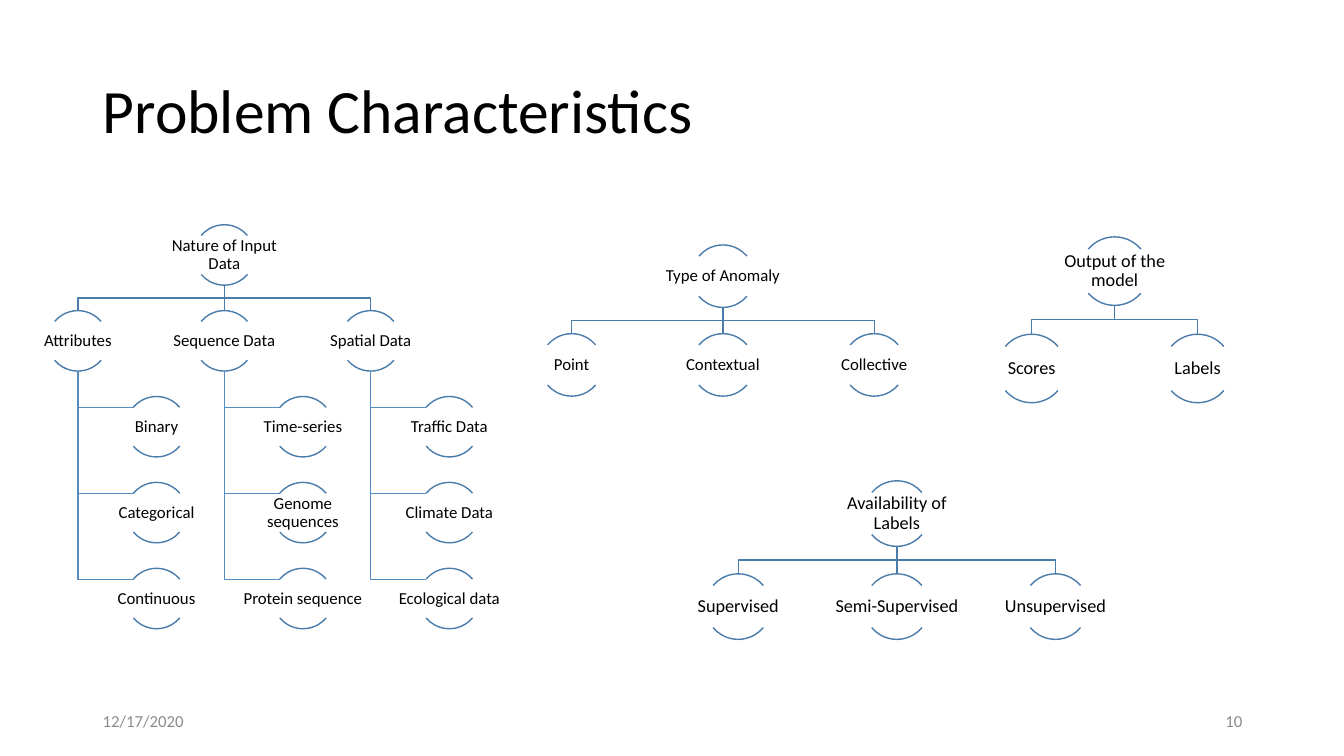
from pptx import Presentation
from pptx.dml.color import RGBColor
from pptx.enum.shapes import MSO_CONNECTOR, MSO_SHAPE
from pptx.enum.text import MSO_ANCHOR, MSO_AUTO_SIZE, PP_ALIGN
from pptx.oxml.ns import qn
from pptx.util import Inches, Pt
from lxml import etree

ARC = MSO_SHAPE.ARC
STRAIGHT = MSO_CONNECTOR.STRAIGHT
MIDDLE = MSO_ANCHOR.MIDDLE
NO_FIT = MSO_AUTO_SIZE.NONE
LEFT, CENTER, RIGHT = PP_ALIGN.LEFT, PP_ALIGN.CENTER, PP_ALIGN.RIGHT

BLACK = RGBColor(0x00, 0x00, 0x00)
GRAY = RGBColor(0x8C, 0x8C, 0x8C)
BLUE = RGBColor(0x49, 0x7C, 0xAB)
LIGHT_BLUE = RGBColor(0x53, 0x8D, 0xC1)

# Columns and rows of the page grid are a tenth of an inch
CELL = Inches(0.1)

# Proportions of every tree, in node diameters
LEVEL_PITCH = 1.42
BRANCH_PITCH = 2.42
LEAF_SHIFT = 1.3
LEAF_REACH = 0.92
LABEL_TOP, LABEL_HEIGHT, LABEL_WIDTH = 0.18, 0.64, 2
ARC_SPANS = [(132, 192), (24, 84)]

# Root column, root row, node diameter, text size, root label, branches with leaves
TREES = [
    (22.25, 22.3, 6, 12, "Nature of Input Data", {
        "Attributes": ["Binary", "Categorical", "Continuous"],
        "Sequence Data": ["Time-series", "Genome sequences", "Protein sequence"],
        "Spatial Data": ["Traffic Data", "Climate Data", "Ecological data"],
    }),
    (110.55, 23.5, 6.8, 13, "Output of the model", {"Scores": [], "Labels": []}),
    (71.7, 24.3, 6.2, 12, "Type of Anomaly",
     {"Point": [], "Contextual": [], "Collective": []}),
    (88.95, 47.7, 6.5, 13, "Availability of Labels",
     {"Supervised": [], "Semi-Supervised": [], "Unsupervised": []}),
]


def cells(*counts):
    return [round(count * CELL) for count in counts]


class Page:
    font = "Calibri"
    line_width = Pt(1)

    def __init__(self, deck):
        self.slide = deck.slides.add_slide(deck.slide_layouts[5])
        self.shapes = self.slide.shapes

    def set_text(self, box, text, size, color, align, spacing=1.0):
        frame = box.text_frame
        frame.word_wrap = True
        frame.auto_size = NO_FIT
        frame.vertical_anchor = MIDDLE
        para = frame.paragraphs[0]
        para.alignment = align
        para.line_spacing = spacing
        span = para.add_run()
        span.text = text
        span.font.name = self.font
        span.font.size = Pt(size)
        span.font.color.rgb = color
        return frame

    def title(self, text, left, top, width, height):
        box = self.shapes.title
        box.left, box.top, box.width, box.height = cells(left, top, width, height)
        self.set_text(box, text, 44, BLACK, LEFT, 0.9)

    def footer(self, text, left, align):
        box = self.shapes.add_textbox(*cells(left, 69.5, 30, 4))
        self.set_text(box, text, 12, GRAY, align)

    def stroke(self, shape, color):
        shape.line.color.rgb = color
        shape.line.width = self.line_width

    def link(self, shapes, points, color):
        points = [tuple(cells(*point)) for point in points]
        if len(points) == 2:
            line = shapes.add_connector(STRAIGHT, *points[0], *points[1])
            etree.SubElement(line._element.spPr, qn("a:effectLst"))
        else:
            builder = shapes.build_freeform(*points[0])
            builder.add_line_segments(points[1:], close=False)
            line = builder.convert_to_shape()
            line.fill.background()
            line.shadow.inherit = False
        self.stroke(line, color)

    def node(self, shapes, text, center, top, diameter, size):
        for span in ARC_SPANS:
            arc = shapes.add_shape(
                ARC, *cells(center - diameter / 2, top, diameter, diameter))
            arc.adjustments[0], arc.adjustments[1] = span
            arc.fill.background()
            arc.shadow.inherit = False
            self.stroke(arc, BLUE)
        width = LABEL_WIDTH * diameter
        box = shapes.add_textbox(*cells(
            center - width / 2, top + LABEL_TOP * diameter,
            width, LABEL_HEIGHT * diameter))
        frame = self.set_text(box, text, size, BLACK, CENTER, 0.9)
        frame.margin_left = frame.margin_right = Inches(0.01)
        frame.margin_top = frame.margin_bottom = Inches(0.01)
        frame.paragraphs[0].space_after = Pt(4)

    def tree(self, center, top, diameter, size, root, branches):
        shapes = self.shapes.add_group_shape().shapes
        pitch = LEVEL_PITCH * diameter
        branch_top = top + pitch
        root_bottom = top + diameter
        elbow = (root_bottom + branch_top) / 2
        nodes = [(root, center, top)]

        for index, (branch, leaves) in enumerate(branches.items()):
            offset = index - (len(branches) - 1) / 2
            x = center + offset * BRANCH_PITCH * diameter
            nodes.append((branch, x, branch_top))
            bend = [(center, elbow), (x, elbow)] if offset else []
            self.link(shapes, [(center, root_bottom), *bend, (x, branch_top)], BLUE)

            # Leaves hang to the right of their branch
            for level, leaf in enumerate(leaves, 1):
                leaf_top = branch_top + level * pitch
                y = leaf_top + LABEL_TOP * diameter
                nodes.append((leaf, x + LEAF_SHIFT * diameter, leaf_top))
                self.link(shapes, [(x, branch_top + diameter), (x, y),
                                   (x + LEAF_REACH * diameter, y)], LIGHT_BLUE)

        for text, x, y in nodes:
            self.node(shapes, text, x, y, diameter, size)


def main():
    deck = Presentation()
    deck.slide_width, deck.slide_height = Inches(13.33), Inches(7.5)
    page = Page(deck)

    # Title
    page.title("Problem Characteristics", 9.2, 4, 115, 14.5)

    # Trees of characteristics
    for tree in TREES:
        page.tree(*tree)

    # Date and page number
    page.footer("12/17/2020", 9.2, LEFT)
    page.footer("10", 94.2, RIGHT)

    deck.save("out.pptx")


if __name__ == "__main__":
    main()
